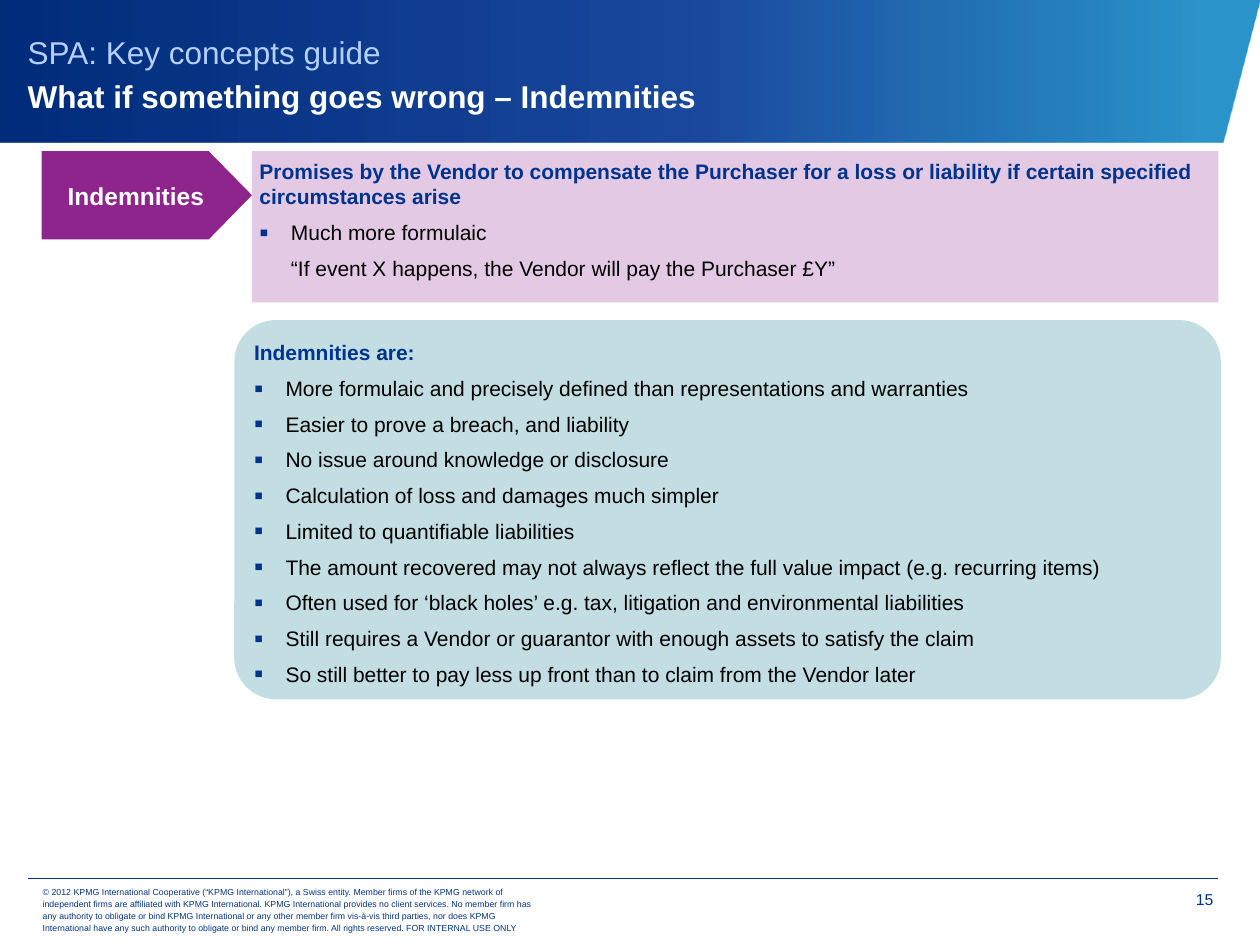
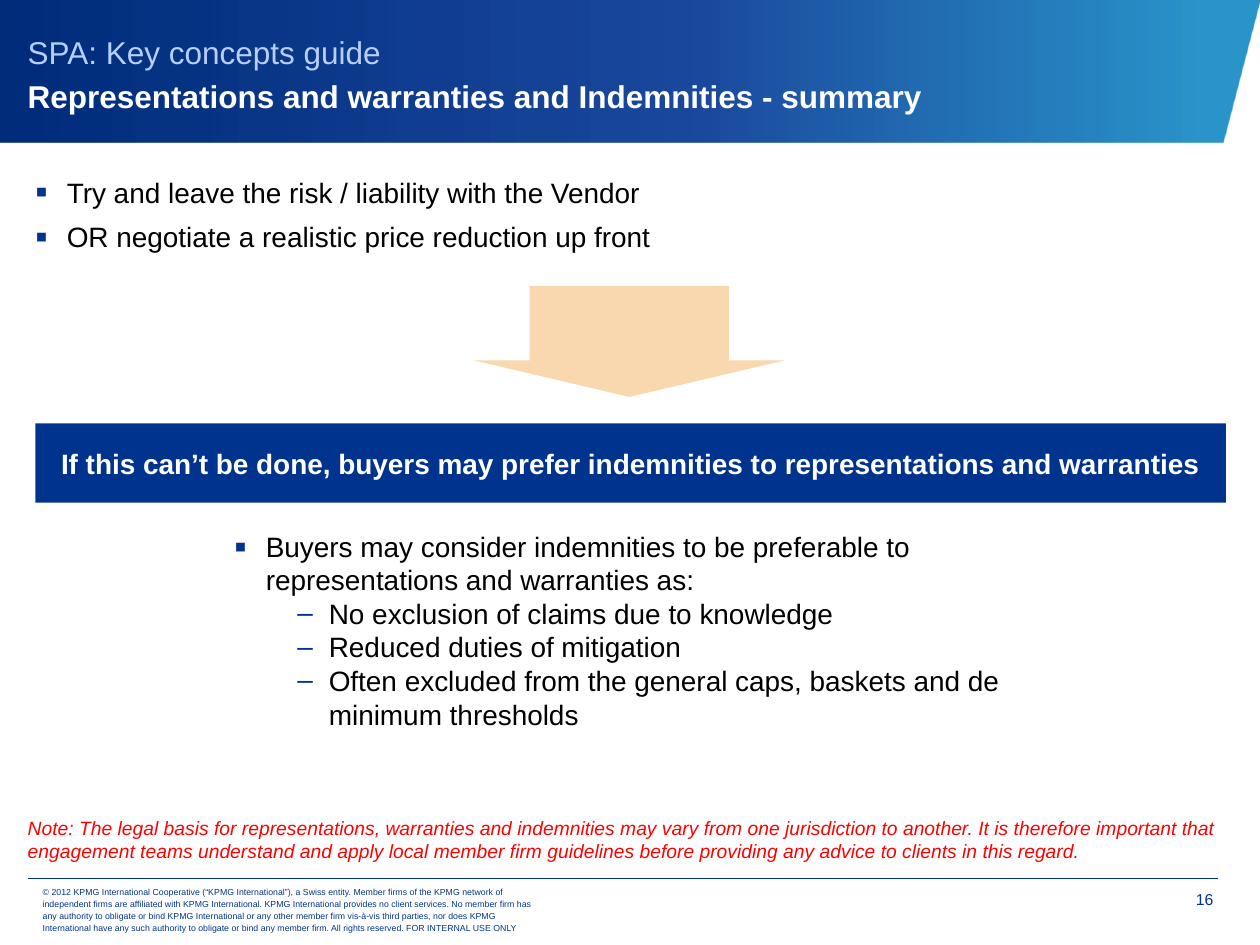
"""Build two slides on indemnities from a guide to share purchase agreements."""
import dataclasses

import pptx
import pptx.dml.color
import pptx.enum.shapes
import pptx.enum.text
import pptx.oxml
import pptx.oxml.ns
import pptx.util

Pt = pptx.util.Pt
Inches = pptx.util.Inches
RGB = pptx.dml.color.RGBColor.from_string
SHAPE = pptx.enum.shapes.MSO_SHAPE
ALIGN = pptx.enum.text.PP_ALIGN
ANCHOR = pptx.enum.text.MSO_ANCHOR
qn = pptx.oxml.ns.qn
NAMESPACE = pptx.oxml.ns.nsdecls("a")


@dataclasses.dataclass(frozen=True)
class Theme:
    font: str = "Arial"
    navy: str = "00338D"
    sky: str = "B5D0FF"
    white: str = "FFFFFF"
    black: str = "000000"
    red: str = "FF0000"
    purple: str = "8E258D"
    lilac: str = "E3C9E3"
    teal: str = "C3DEE2"
    peach: str = "FAD8AF"
    band: tuple = ((4, "0080C0", 83), (44, "003492", 89), (100, "002C7A", 100))
    legal: int = 5
    number: int = 9
    note: int = 11
    panel: int = 12
    label: int = 14
    body: int = 16
    title: int = 18


theme = Theme()
panel_item = {"size": theme.panel, "color": theme.black, "gap": 3, "indent": 0.25}
body_item = {"size": theme.body, "color": theme.black, "indent": 0.25}
STYLES = {
    "legal": {"size": theme.legal, "color": theme.navy, "leading": 7},
    "number": {"size": theme.number, "color": theme.navy, "align": ALIGN.RIGHT},
    "note": {"size": theme.note, "color": theme.red, "italic": True},
    "heading": {"size": theme.panel, "color": theme.navy, "bold": True, "gap": 3},
    "quote": panel_item,
    "item": {**panel_item, "bullet": "▪"},
    "label": {"size": theme.label, "color": theme.white, "bold": True, "align": ALIGN.CENTER},
    "message": {"size": theme.body, "color": theme.white, "bold": True, "align": ALIGN.CENTER},
    "advice": {**body_item, "bullet": "▪", "gap": 3},
    "reason": {**body_item, "bullet": "▪"},
    "detail": {**body_item, "bullet": "–", "indent": 0.75},
    "guide": {"size": theme.title, "color": theme.sky, "leading": 25},
    "topic": {"size": theme.title, "color": theme.white, "bold": True, "leading": 25},
}

deck = pptx.Presentation()
deck.slide_width, deck.slide_height = Inches(10), Inches(7.5)


def area(*shares):
    """Turn percentages of the slide's width and height, in turn, into lengths."""
    sides = (deck.slide_width, deck.slide_height) * 2
    return [round(side * share / 100) for side, share in zip(sides, shares)]


def write(frame, rows, inset=0.0, anchor=ANCHOR.TOP):
    """Fill a frame with rows of a style name and a text; a line break joins a topic."""
    frame_format = {
        "word_wrap": True,
        "auto_size": pptx.enum.text.MSO_AUTO_SIZE.NONE,
        "vertical_anchor": anchor,
        **{f"margin_{side}": Inches(inset) for side in ("left", "top", "right", "bottom")},
    }
    for name, value in frame_format.items():
        setattr(frame, name, value)
    for index, (style_name, text) in enumerate(rows):
        style = STYLES[style_name]
        if style_name == "topic":
            para.add_line_break()
        else:
            para = frame.add_paragraph() if index else frame.paragraphs[0]
            bullet = style.get("bullet")
            properties = para._p.get_or_add_pPr()
            properties.set("marL", str(Inches(style.get("indent", 0))))
            properties.set("indent", str(Inches(-0.25 if bullet else 0)))
            marks = ["<a:buNone {}/>"]
            if bullet:
                size = 125000 if bullet == "▪" else 100000
                marks = [
                    f'<a:buClr {{}}><a:srgbClr val="{theme.navy}"/></a:buClr>',
                    f'<a:buSzPct {{}} val="{size}"/>',
                    f'<a:buFont {{}} typeface="{theme.font}"/>',
                    f'<a:buChar {{}} char="{bullet}"/>',
                ]
            for mark in marks:
                properties.append(pptx.oxml.parse_xml(mark.format(NAMESPACE)))
            gap = Pt(style.get("gap", 0))
            para_format = {
                "alignment": style.get("align", ALIGN.LEFT),
                "space_before": gap if index else Pt(0),
                "space_after": gap,
                "line_spacing": Pt(style["leading"]) if "leading" in style else 1.0,
            }
            for name, value in para_format.items():
                setattr(para, name, value)
        span = para.add_run()
        span.text = text
        span.font.color.rgb = RGB(style["color"])
        span_format = {
            "name": theme.font,
            "size": Pt(style["size"]),
            "bold": style.get("bold", False),
            "italic": style.get("italic", False),
        }
        for name, value in span_format.items():
            setattr(span.font, name, value)


LEGAL = (
    "© 2012 KPMG International Cooperative (“KPMG International”), a Swiss entity. "
    "Member firms of the KPMG network of independent firms are affiliated with KPMG International. "
    "KPMG International provides no client services. No member firm has any authority to obligate "
    "or bind KPMG International or any other member firm vis-à-vis third parties, nor does KPMG "
    "International have any such authority to obligate or bind any member firm. "
    "All rights reserved. FOR INTERNAL USE ONLY"
)

SLIDES = [
    {
        "number": "15",
        "topic": "What if something goes wrong – Indemnities",
        "layout": 5,
        "shapes": [
            (SHAPE.RECTANGLE, (20, 16, 76.7, 16), theme.lilac, [], 0.06, ANCHOR.TOP, [
                ("heading", "Promises by the Vendor to compensate the Purchaser for a loss or "
                            "liability if certain specified circumstances arise"),
                ("item", "Much more formulaic"),
                ("quote", "“If event X happens, the Vendor will pay the Purchaser £Y”"),
            ]),
            (SHAPE.PENTAGON, (3.3, 16, 16.7, 9.33), theme.purple, [0.49], 0.06, ANCHOR.MIDDLE, [
                ("label", "Indemnities"),
            ]),
            (SHAPE.ROUNDED_RECTANGLE, (18.6, 33.87, 78.3, 40.13), theme.teal, [0.11], 0.06, ANCHOR.TOP, [
                ("heading", "Indemnities are:"),
                ("item", "More formulaic and precisely defined than representations and warranties"),
                ("item", "Easier to prove a breach, and liability"),
                ("item", "No issue around knowledge or disclosure"),
                ("item", "Calculation of loss and damages much simpler"),
                ("item", "Limited to quantifiable liabilities"),
                ("item", "The amount recovered may not always reflect the full value impact "
                         "(e.g. recurring items)"),
                ("item", "Often used for ‘black holes’ e.g. tax, litigation and environmental liabilities"),
                ("item", "Still requires a Vendor or guarantor with enough assets to satisfy the claim"),
                ("item", "So still better to pay less up front than to claim from the Vendor later"),
            ]),
        ],
        "body": [],
        "texts": [],
    },
    {
        "number": "16",
        "topic": "Representations and warranties and Indemnities - summary",
        "layout": 1,
        "shapes": [
            (SHAPE.RECTANGLE, (2.8, 44.8, 94.5, 8.4), theme.navy, [], 0, ANCHOR.MIDDLE, [
                ("message", "If this can’t be done, buyers may prefer indemnities to "
                            "representations and warranties"),
            ]),
            (SHAPE.DOWN_ARROW, (37.6, 30.27, 24.7, 11.73), theme.peach, [0.64, 0.33], 0, ANCHOR.TOP, []),
        ],
        "body": [
            ("advice", "Try and leave the risk / liability with the Vendor"),
            ("advice", "OR negotiate a realistic price reduction up front"),
        ],
        "texts": [
            ((2.2, 86.4, 95.6, 6.4), [
                ("note", "Note: The legal basis for representations, warranties and indemnities may "
                         "vary from one jurisdiction to another. It is therefore important that "
                         "engagement teams understand and apply local member firm guidelines before "
                         "providing any advice to clients in this regard."),
            ]),
            ((18.6, 56, 64.2, 30), [
                ("reason", "Buyers may consider indemnities to be preferable to representations "
                           "and warranties as:"),
                ("detail", "No exclusion of claims due to knowledge"),
                ("detail", "Reduced duties of mitigation"),
                ("detail", "Often excluded from the general caps, baskets and de minimum thresholds"),
            ]),
        ],
    },
]

stops = "".join(
    f'<a:gs pos="{place * 1000}"><a:srgbClr val="{color}"><a:alpha val="{alpha * 1000}"/></a:srgbClr></a:gs>'
    for place, color, alpha in theme.band
)
gradient = f'<a:gradFill {NAMESPACE}><a:gsLst>{stops}</a:gsLst><a:lin ang="10800000" scaled="0"/></a:gradFill>'

for content in SLIDES:
    page = deck.slides.add_slide(deck.slide_layouts[content["layout"]])

    outline = page.shapes.build_freeform(*area(-0.1, 15.07))
    outline.add_line_segments([area(97, 15.07), area(100, -0.13), area(-0.1, 0)])
    band = outline.convert_to_shape()
    band.shadow.inherit = False
    band.line.fill.background()
    band.fill.gradient()
    fill = band.element.spPr.find(qn("a:gradFill"))
    band.element.spPr.replace(fill, pptx.oxml.parse_xml(gradient))

    title = page.shapes.title
    title.element.addprevious(band.element)
    title.left, title.top, title.width, title.height = area(2.2, 1.73, 93.5, 11.6)
    write(title.text_frame, [("guide", "SPA: Key concepts guide"), ("topic", content["topic"])],
          anchor=ANCHOR.MIDDLE)

    rule = page.shapes.add_connector(
        pptx.enum.shapes.MSO_CONNECTOR.STRAIGHT, *area(2.2, 92.93, 96.7, 92.93))
    rule.line.color.rgb = RGB(theme.navy)
    rule.line.width = Pt(0.25)
    rule.element.spPr.append(pptx.oxml.parse_xml(f"<a:effectLst {NAMESPACE}/>"))

    footer = page.shapes.add_textbox(*area(2.4, 93.87, 41.5, 4.67))
    write(footer.text_frame, [("legal", LEGAL)], inset=0.1, anchor=ANCHOR.MIDDLE)
    counter = page.shapes.add_textbox(*area(90.8, 94.13, 5.5, 3.07))
    write(counter.text_frame, [("number", content["number"])])

    if content["body"]:
        advice = page.placeholders[1]
        advice.left, advice.top, advice.width, advice.height = area(2.8, 18.53, 94.5, 9.87)
        write(advice.text_frame, content["body"])

    for kind, place, color, adjustments, inset, anchor, rows in content["shapes"]:
        shape = page.shapes.add_shape(kind, *area(*place))
        shape.shadow.inherit = False
        shape.fill.solid()
        shape.fill.fore_color.rgb = RGB(color)
        shape.line.fill.background()
        for index, value in enumerate(adjustments):
            shape.adjustments[index] = value
        write(shape.text_frame, rows, inset, anchor)

    for place, rows in content["texts"]:
        box = page.shapes.add_textbox(*area(*place))
        write(box.text_frame, rows)

deck.save("out.pptx")
